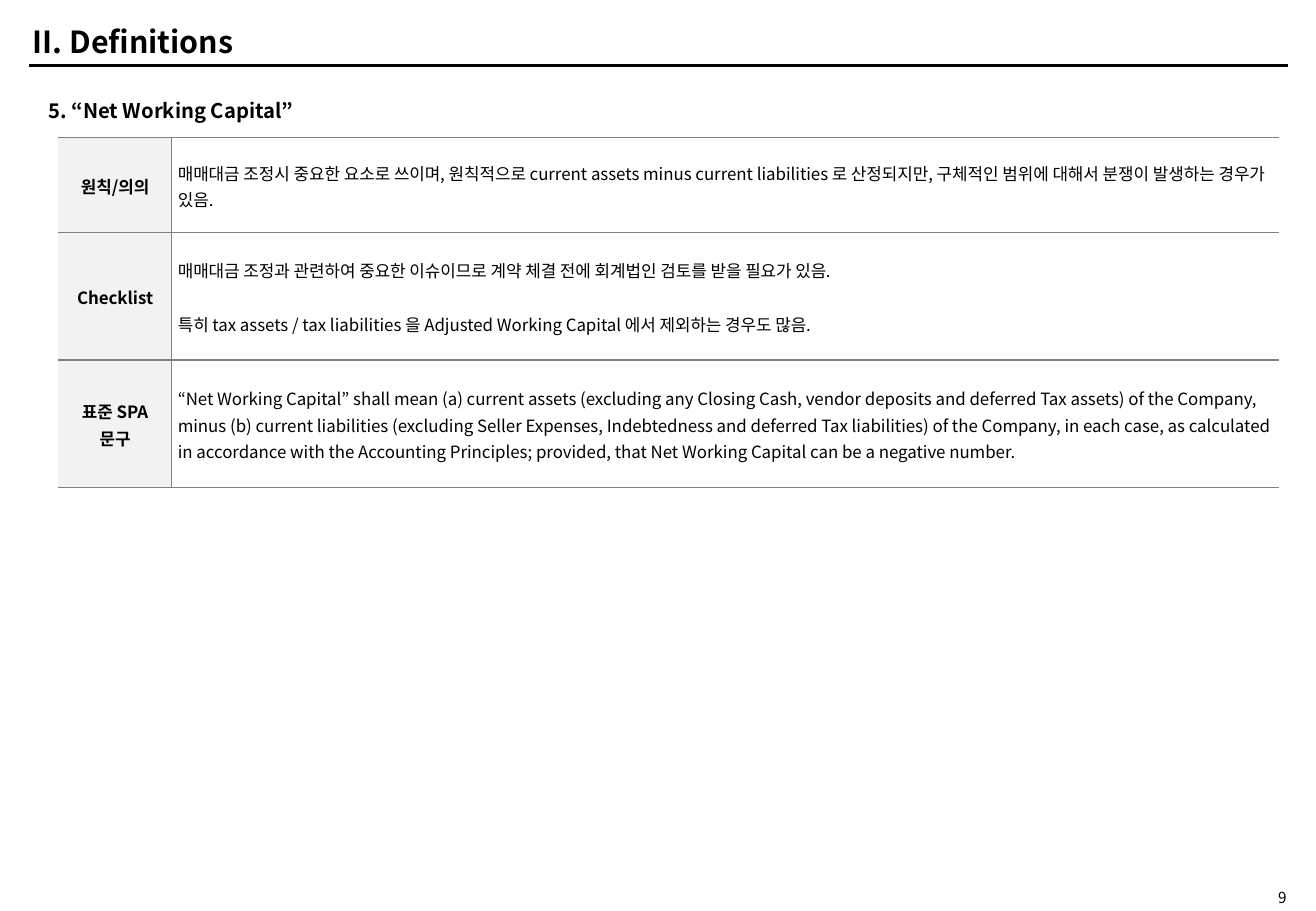
from lxml import etree
from pptx import Presentation
from pptx.dml.color import RGBColor
from pptx.enum.shapes import MSO_CONNECTOR
from pptx.enum.text import MSO_ANCHOR, MSO_AUTO_SIZE, PP_ALIGN
from pptx.oxml.ns import qn
from pptx.util import Pt

TITLE = "II. Definitions"
HEADING = "5. “Net Working Capital”"
PAGE = "9"
ROWS = [  # label, paragraphs, row height
    ("원칙/의의",
     ["매매대금 조정시 중요한 요소로 쓰이며, 원칙적으로 current assets minus current liabilities "
      "로 산정되지만, 구체적인 범위에 대해서 분쟁이 발생하는 경우가 있음."], 56.4),
    ("Checklist",
     ["매매대금 조정과 관련하여 중요한 이슈이므로 계약 체결 전에 회계법인 검토를 받을 필요가 있음.",
      "특히 tax assets / tax liabilities 을 Adjusted Working Capital 에서 제외하는 경우도 많음."], 75.6),
    ("표준 SPA\v문구",
     ["“Net Working Capital” shall mean (a) current assets (excluding any Closing Cash, vendor "
      "deposits and deferred Tax assets) of the Company, minus (b) current liabilities (excluding "
      "Seller Expenses, Indebtedness and deferred Tax liabilities) of the Company, in each case, "
      "as calculated in accordance with the Accounting Principles; provided, that Net Working "
      "Capital can be a negative number."], 75.6),
]
COLUMNS = (67.2, 656.4)
COLORS = {"text": "000000", "label": "F2F2F2", "border": "808080"}
FONT = "Noto Sans CJK KR"


def format_runs(p, size, bold=False):
    for r in p.runs:
        r.font.name = FONT
        r.font.size = Pt(size)
        r.font.bold = bold
        r.font.color.rgb = RGBColor.from_string(COLORS["text"])
        ea = etree.SubElement(r.font._element, qn("a:ea"))
        ea.set("typeface", FONT)


def fill_box(s, box, text, size, bold=False, align=PP_ALIGN.LEFT, anchor=MSO_ANCHOR.MIDDLE, inset=3.6):
    s.left, s.top, s.width, s.height = (Pt(v) for v in box)
    tf = s.text_frame
    tf.text = text
    tf.word_wrap = True
    tf.auto_size = MSO_AUTO_SIZE.NONE
    tf.vertical_anchor = anchor
    tf.margin_left = tf.margin_right = Pt(7.2)
    tf.margin_top = tf.margin_bottom = Pt(inset)
    p = tf.paragraphs[0]
    p.alignment = align
    format_runs(p, size, bold)


def set_borders(cell, sides):
    tcPr = cell._tc.get_or_add_tcPr()
    for i, side in enumerate("LRTB"):
        ln = etree.Element(qn("a:ln" + side), w=str(Pt(1)))
        if side in sides:
            fill = etree.SubElement(ln, qn("a:solidFill"))
            etree.SubElement(fill, qn("a:srgbClr"), val=COLORS["border"])
        else:
            etree.SubElement(ln, qn("a:noFill"))
        tcPr.insert(i, ln)


def fill_cell(cell, texts, is_label):
    cell.vertical_anchor = MSO_ANCHOR.MIDDLE
    cell.margin_left = cell.margin_right = Pt(5 if is_label else 3.6)
    cell.margin_top = cell.margin_bottom = 0
    tf = cell.text_frame
    for i, text in enumerate(texts):
        p = tf.add_paragraph() if i else tf.paragraphs[0]
        p.text = text
        p.alignment = PP_ALIGN.CENTER if is_label else PP_ALIGN.LEFT
        p.line_spacing = 1.1
        p.space_before = Pt(16 if i else 0)
        format_runs(p, 10, is_label)
    if is_label:
        cell.fill.solid()
        cell.fill.fore_color.rgb = RGBColor.from_string(COLORS["label"])
    else:
        cell.fill.background()
    set_borders(cell, "RTB" if is_label else "LTB")


prs = Presentation()
prs.slide_width, prs.slide_height = Pt(780), Pt(540)
slide = prs.slides.add_slide(prs.slide_layouts[5])
shapes = slide.shapes

# Title and rule below it
fill_box(shapes.title, (12.2, 10.8, 746, 27.4), TITLE, 18, True)
rule = shapes.add_connector(MSO_CONNECTOR.STRAIGHT, Pt(17.3), Pt(38.9), Pt(763.2), Pt(38.9))
rule.line.color.rgb = RGBColor.from_string(COLORS["text"])
rule.line.width = Pt(2)
etree.SubElement(rule._element.spPr, qn("a:effectLst"))

# Section heading and page number
heading = shapes.add_textbox(0, 0, 0, 0)
fill_box(heading, (21.6, 54.7, 721.4, 21.6), HEADING, 12, True, anchor=MSO_ANCHOR.TOP)
page = shapes.add_textbox(0, 0, 0, 0)
fill_box(page, (702, 526.3, 67.7, 10.8), PAGE, 9, align=PP_ALIGN.RIGHT, inset=0)

# Definition table
table = shapes.add_table(len(ROWS), len(COLUMNS), Pt(34.6), Pt(81.4),
                         Pt(sum(COLUMNS)), Pt(sum(row[2] for row in ROWS))).table
table.first_row = table.horz_banding = False
for column, width in zip(table.columns, COLUMNS):
    column.width = Pt(width)
for row, (label, texts, height) in zip(table.rows, ROWS):
    row.height = Pt(height)
    fill_cell(row.cells[0], [label], True)
    fill_cell(row.cells[1], texts, False)

prs.save("out.pptx")
